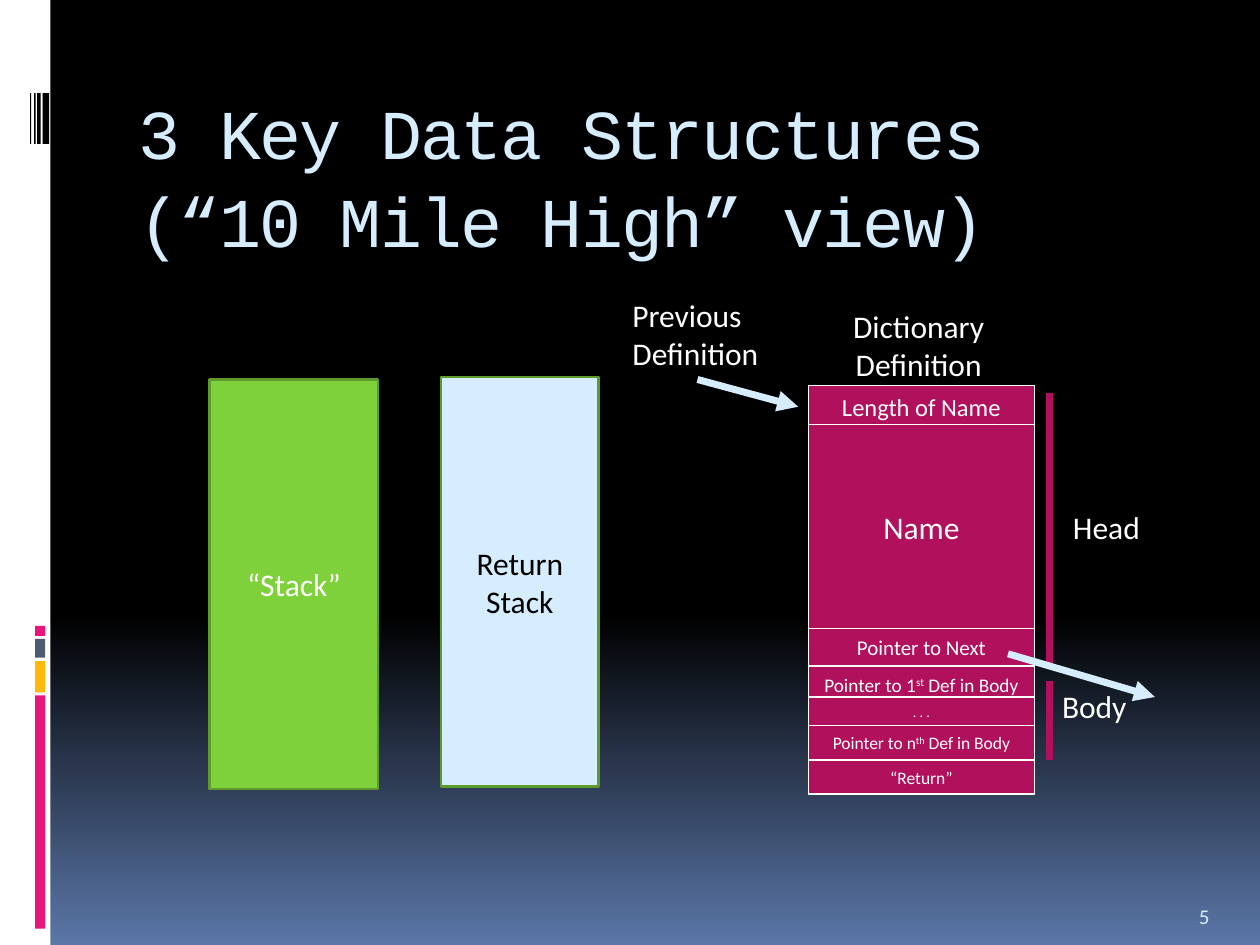
from pptx import Presentation
from pptx.dml.color import RGBColor
from pptx.enum.shapes import MSO_CONNECTOR, MSO_SHAPE
from pptx.enum.text import MSO_ANCHOR, PP_ALIGN
from pptx.oxml.ns import qn
from pptx.util import Cm, Pt
from lxml import etree

RECT = MSO_SHAPE.RECTANGLE
STRAIGHT = MSO_CONNECTOR.STRAIGHT
TOP, MIDDLE, BOTTOM = MSO_ANCHOR.TOP, MSO_ANCHOR.MIDDLE, MSO_ANCHOR.BOTTOM
LEFT, CENTER = PP_ALIGN.LEFT, PP_ALIGN.CENTER

COLORS = {
    "white": "FFFFFF", "black": "000000", "pink": "EA157A", "gold": "FEB80A",
    "slate": "4E5B6F", "dusk": "5B77A8", "ice": "D6ECFF", "green": "7FD13B",
    "edge": "5E9B2C", "plum": "B0105C",
}


class Board:
    font = "Calibri"

    def __init__(self, slide):
        self.slide = slide

    def color(self, name):
        return RGBColor.from_string(COLORS[name])

    def back(self, start, end, stop):
        fill = self.slide.background.fill
        fill.gradient()
        fill.gradient_angle = 270
        first, last = fill.gradient_stops
        first.color.rgb, first.position = self.color(start), stop
        last.color.rgb, last.position = self.color(end), 1

    def style(self, run, size, color, font=None):
        run.font.name = font or self.font
        run.font.size = Pt(size)
        run.font.color.rgb = self.color(color)

    def put(self, frame, text, size, color, align):
        frame.text = text
        for para in frame.paragraphs:
            para.alignment = align
            parts = para.text.split("|")
            para.text = parts[0]
            for part in parts[1:]:
                para.add_run().text = part
            for i, run in enumerate(para.runs):
                self.style(run, size, color)
                if i % 2:
                    run.font._element.set("baseline", "30000")

    def title(self, text, x, y, w, h):
        shape = self.slide.shapes.title
        shape.left, shape.top, shape.width, shape.height = map(Cm, (x, y, w, h))
        frame = shape.text_frame
        frame.vertical_anchor = TOP
        frame.margin_top = Cm(0.3)
        para = frame.paragraphs[0]
        para.text = text
        para.alignment = LEFT
        para.line_spacing = 1.05
        for run in para.runs:
            self.style(run, 40, "ice", "Courier New")
            run.font._element.set("spc", "-100")

    def box(self, x, y, w, h, fill, edge=None, width=0.75,
            text="", size=18, color="white"):
        shape = self.slide.shapes.add_shape(RECT, Cm(x), Cm(y), Cm(w), Cm(h))
        shape.shadow.inherit = False
        shape.fill.solid()
        shape.fill.fore_color.rgb = self.color(fill)
        if edge:
            shape.line.color.rgb = self.color(edge)
            shape.line.width = Pt(width)
        else:
            shape.line.fill.background()
        if text:
            frame = shape.text_frame
            frame.vertical_anchor = MIDDLE
            self.put(frame, text, size, color, CENTER)

    def label(self, text, x, y, w, h, size=18, color="white",
              align=LEFT, anchor=TOP, wrap=False):
        frame = self.slide.shapes.add_textbox(Cm(x), Cm(y), Cm(w), Cm(h)).text_frame
        frame.word_wrap = wrap
        frame.vertical_anchor = anchor
        self.put(frame, text, size, color, align)

    def line(self, x1, y1, x2, y2, color, arrow=False):
        link = self.slide.shapes.add_connector(
            STRAIGHT, Cm(x1), Cm(y1), Cm(x2), Cm(y2))
        link.line.color.rgb = self.color(color)
        link.line.width = Pt(4)
        props = link._element.spPr
        if arrow:
            tail = etree.SubElement(props.get_or_add_ln(), qn("a:tailEnd"))
            tail.set("type", "triangle")
        etree.SubElement(props, qn("a:effectLst"))


def main():
    deck = Presentation()
    deck.slide_width, deck.slide_height = Cm(25.4), Cm(19.05)
    board = Board(deck.slides.add_slide(deck.slide_layouts[5]))
    board.back("black", "dusk", 0.65)

    board.box(0, 0, 1.02, 19.05, "white")
    for y, h, fill in ((14.02, 4.7, "pink"), (13.33, 0.63, "gold"),
                       (12.88, 0.38, "slate"), (12.62, 0.2, "pink")):
        board.box(0.71, y, 0.2, h, fill)
    for x, w in ((0.86, 0.13), (0.75, 0.07), (0.69, 0.03), (0.61, 0.02)):
        board.box(x, 1.88, w, 1.02, "black")

    board.title("3 Key Data Structures\n(“10 Mile High” view)", 2.54, 1.42, 21.59, 2.54)

    board.box(4.23, 7.65, 3.39, 8.26, "green", "edge", 1.5, "“Stack”")
    board.box(8.89, 7.6, 3.18, 8.26, "ice", "edge", 1.5, "Return Stack", color="black")

    board.label("Dictionary Definition", 16.72, 6.07, 3.6, 1.8, align=CENTER, wrap=True)
    rows = (
        (7.77, 0.86, "Length of Name", 14),
        (8.56, 4.11, "Name", 18),
        (12.67, 0.76, "Pointer to Next", 12),
        (13.44, 0.74, "Pointer to 1|st| Def in Body", 11),
        (14.05, 0.61, ". . .", 8),
        (14.63, 0.69, "Pointer to n|th| Def in Body", 10),
        (15.32, 0.69, "“Return”", 10),
    )
    for y, h, text, size in rows:
        board.box(16.3, y, 4.55, h, "plum", "white", text=text, size=size)

    board.line(14.06, 7.65, 16.09, 8.2, "ice", True)
    board.label("Previous\nDefinition", 12.5, 5.84, 3.15, 1.8)
    board.label("Head", 21.38, 10.11, 1.93, 1.02)
    board.label("Body", 21.16, 13.72, 1.88, 1.02)
    for top, end in ((7.92, 13.44), (13.72, 15.32)):
        board.line(21.16, top, 21.16, end, "plum")
    board.label("5", 23.92, 17.83, 1.27, 1.02, 12, "ice", anchor=BOTTOM, wrap=True)
    board.line(20.32, 13.18, 23.28, 14.05, "ice", True)

    deck.save("out.pptx")


if __name__ == "__main__":
    main()
